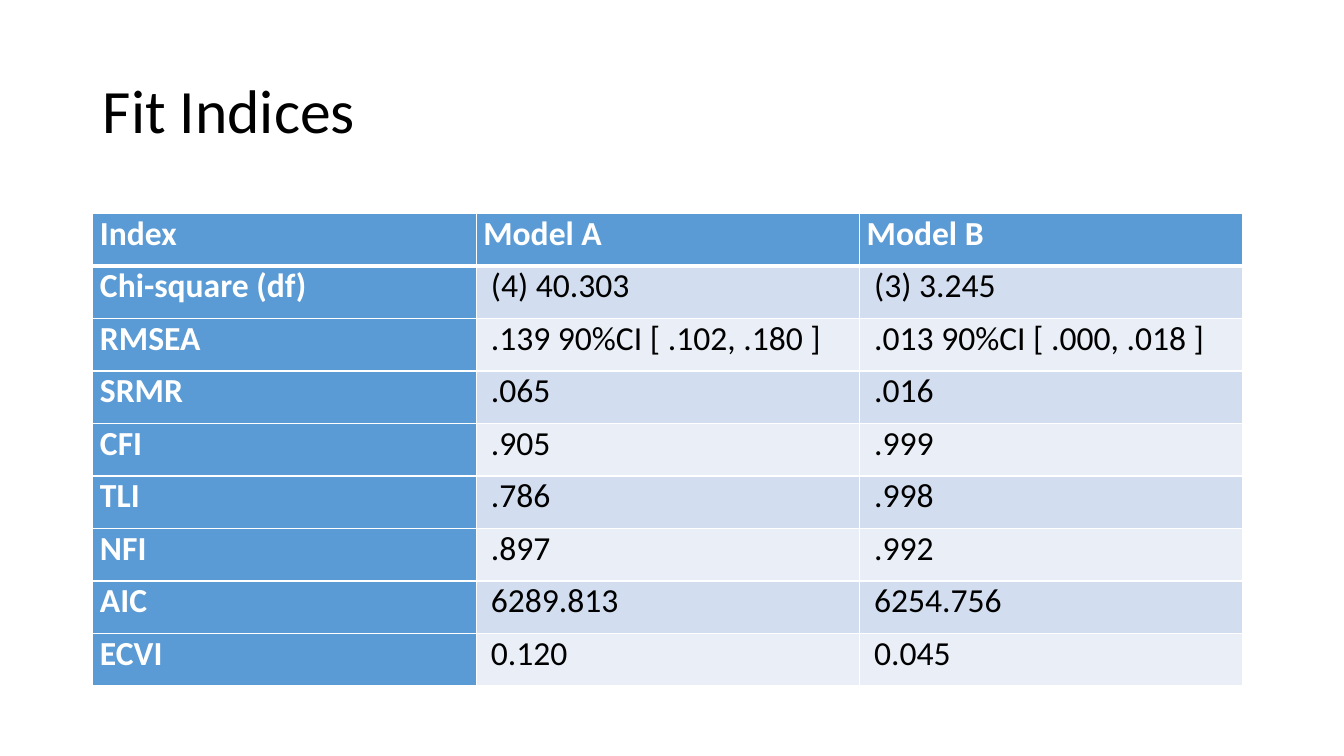
from lxml.etree import SubElement
from pptx import Presentation
from pptx.dml.color import RGBColor
from pptx.enum.text import MSO_ANCHOR, PP_ALIGN
from pptx.oxml.ns import qn
from pptx.util import Cm, Pt

FONT = "Calibri"
BLACK, WHITE, BLUE = "000000", "FFFFFF", "5B9BD5"
BANDS = ("D2DEEF", "EAEFF7")
FIT_INDICES = [
    ("Index", "Model A", "Model B"),
    ("Chi-square (df)", "(4) 40.303", "(3) 3.245"),
    ("RMSEA", ".139 90%CI [ .102, .180 ]", ".013 90%CI [ .000, .018 ]"),
    ("SRMR", ".065", ".016"),
    ("CFI", ".905", ".999"),
    ("TLI", ".786", ".998"),
    ("NFI", ".897", ".992"),
    ("AIC", "6289.813", "6254.756"),
    ("ECVI", "0.120", "0.045"),
]


def colour(hex_string):
    return RGBColor.from_string(hex_string)


def add_text(para, text, size, text_colour, bold=False):
    para.alignment = PP_ALIGN.LEFT
    span = para.add_run()
    span.text = text
    span.font.name = FONT
    span.font.size = Pt(size)
    span.font.bold = bold
    span.font.color.rgb = colour(text_colour)


def add_borders(cell, top, bottom):
    """Draw white borders; top and bottom are widths in points."""
    properties = cell._tc.get_or_add_tcPr()
    for tag, width in (("a:lnL", 1), ("a:lnR", 1), ("a:lnT", top), ("a:lnB", bottom)):
        line = SubElement(properties, qn(tag), w=str(Pt(width)))
        fill = SubElement(line, qn("a:solidFill"))
        SubElement(fill, qn("a:srgbClr"), val=WHITE)


def fill_cell(cell, text, row, column):
    is_heading = row == 0 or column == 0
    add_borders(cell, top=3 if row == 1 else 1, bottom=3 if row == 0 else 1)
    cell.fill.solid()
    cell.fill.fore_color.rgb = colour(BLUE if is_heading else BANDS[(row - 1) % 2])
    cell.margin_left = Cm(0.18 if is_heading else 0.37)
    cell.margin_right = Cm(0.18)
    cell.margin_top = cell.margin_bottom = Cm(0)
    cell.vertical_anchor = MSO_ANCHOR.TOP
    add_text(cell.text_frame.paragraphs[0], text, 24,
             WHITE if is_heading else BLACK, is_heading)


def add_fit_table(page, rows):
    table = page.shapes.add_table(len(rows), len(rows[0]), Cm(2.34), Cm(5.38),
                                  Cm(28.98), Cm(11.91)).table
    for row, texts in enumerate(rows):
        for column, text in enumerate(texts):
            fill_cell(table.cell(row, column), text, row, column)


def set_title(page, text):
    title = page.shapes.title
    title.left, title.top = Cm(2.34), Cm(1.02)
    title.width, title.height = Cm(29.21), Cm(3.68)
    title.text_frame.vertical_anchor = MSO_ANCHOR.MIDDLE
    para = title.text_frame.paragraphs[0]
    para.line_spacing = 0.9
    add_text(para, text, 44, BLACK)


def main():
    deck = Presentation()
    deck.slide_width, deck.slide_height = Cm(33.87), Cm(19.05)
    page = deck.slides.add_slide(deck.slide_layouts[5])
    set_title(page, "Fit Indices")
    add_fit_table(page, FIT_INDICES)
    deck.save("out.pptx")


if __name__ == "__main__":
    main()
